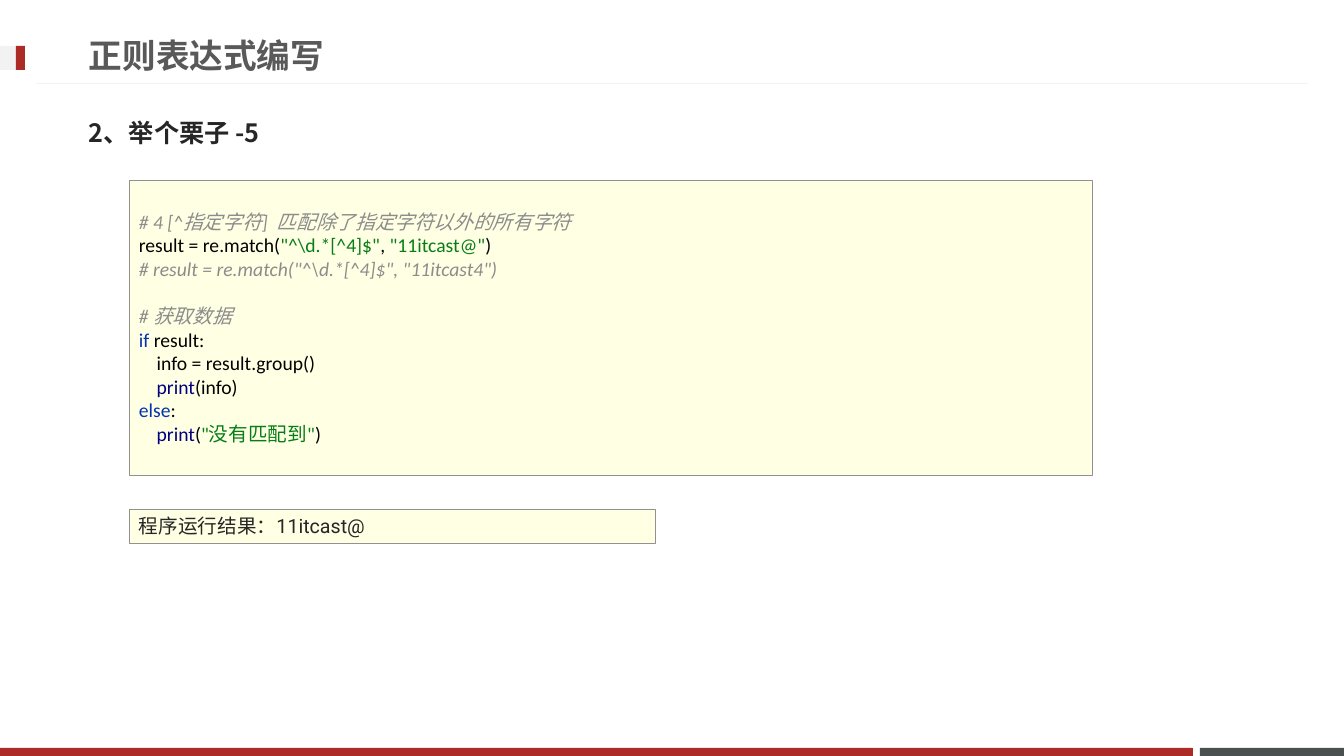
import pptx
import pptx.util
import pptx.dml.color
import pptx.enum.shapes
import pptx.enum.text
import pptx.oxml.ns
import lxml.etree

RGBColor = pptx.dml.color.RGBColor
RED = RGBColor(0xAD, 0x2B, 0x26)
SLATE = RGBColor(0x49, 0x50, 0x4F)
PALE = RGBColor(0xF2, 0xF2, 0xF2)
CREAM = RGBColor(0xFF, 0xFF, 0xE4)
BORDER = RGBColor(0x91, 0x91, 0x91)
TITLE_GRAY = RGBColor(0x59, 0x59, 0x59)
INK = RGBColor(0x26, 0x26, 0x26)
PLAIN = RGBColor(0x00, 0x00, 0x00)
COMMENT = RGBColor(0x8C, 0x8C, 0x8C)
STRING = RGBColor(0x06, 0x7D, 0x17)
KEYWORD = RGBColor(0x00, 0x33, 0xB3)
BUILTIN = RGBColor(0x00, 0x00, 0x80)

CJK_FONT = "Noto Sans CJK SC"
CODE_LINE_PT = 17

HEADING = "正则表达式编写"
SUBHEADING = "2、举个栗子 -5"
RESULT = "程序运行结果：11itcast@"
CODE_BLOCKS = [
    [
        [("# 4 [^指定字符]  匹配除了指定字符以外的所有字符", COMMENT)],
        [("result = re.match(", PLAIN), (r'"^\d.*[^4]$"', STRING), (", ", PLAIN),
         ('"11itcast@"', STRING), (")", PLAIN)],
        [(r'# result = re.match("^\d.*[^4]$", "11itcast4")', COMMENT)],
    ],
    [
        [("# 获取数据", COMMENT)],
        [("if ", KEYWORD), ("result:", PLAIN)],
        [("    info = result.group()", PLAIN)],
        [("    ", PLAIN), ("print", BUILTIN), ("(info)", PLAIN)],
        [("else", KEYWORD), (":", PLAIN)],
        [("    ", PLAIN), ("print", BUILTIN), ("(", PLAIN),
         ('"没有匹配到"', STRING), (")", PLAIN)],
    ],
]
BARS = [
    ((1200, 748, 144, 8), SLATE),
    ((0, 748, 1193, 8), RED),
    ((0, 46, 25, 24), PALE),
    ((16, 46, 9, 24), RED),
]


def px(length):
    return pptx.util.Emu(round(length * 914400 / 100.8))


def add_panel(slide, box, fill, border=None):
    panel = slide.shapes.add_shape(
        pptx.enum.shapes.MSO_SHAPE.RECTANGLE, *map(px, box))
    panel.shadow.inherit = False
    panel.fill.solid()
    panel.fill.fore_color.rgb = fill
    if border is None:
        panel.line.fill.background()
    else:
        panel.line.color.rgb = border
        panel.line.width = pptx.util.Pt(0.25)
    return panel


def write_run(paragraph, text, *, size, font, color, bold=False, italic=False):
    paragraph.alignment = pptx.enum.text.PP_ALIGN.LEFT
    run = paragraph.add_run()
    run.text = text
    run.font.size = pptx.util.Pt(size)
    run.font.name = font
    run.font.bold = bold
    run.font.italic = italic
    run.font.color.rgb = color
    east_asian = lxml.etree.SubElement(
        run.font._element, pptx.oxml.ns.qn("a:ea"))
    east_asian.set("typeface", CJK_FONT)


def open_frame(holder):
    frame = holder.text_frame
    frame.word_wrap = True
    frame.vertical_anchor = pptx.enum.text.MSO_ANCHOR.MIDDLE
    return frame


def add_header(slide):
    for box, fill in BARS:
        add_panel(slide, box, fill)
    rule = slide.shapes.add_connector(
        pptx.enum.shapes.MSO_CONNECTOR.STRAIGHT, px(1308), px(84), px(36), px(84))
    rule.line.color.rgb = PALE
    rule.line.width = pptx.util.Pt(0.75)
    lxml.etree.SubElement(
        rule._element.spPr, pptx.oxml.ns.qn("a:effectLst"))

    heading = slide.shapes.add_textbox(*map(px, (79, 27, 967, 57)))
    write_run(open_frame(heading).paragraphs[0], HEADING,
              size=24, font="Arial", color=TITLE_GRAY, bold=True)
    subheading = slide.shapes.add_textbox(*map(px, (79, 104, 1185, 57)))
    write_run(open_frame(subheading).paragraphs[0], SUBHEADING,
              size=18, font=CJK_FONT, color=INK, bold=True)


def add_code(slide):
    frame = open_frame(add_panel(slide, (129, 180, 963, 295), CREAM, BORDER))
    paragraph = None
    for block in CODE_BLOCKS:
        for number, line in enumerate(block):
            if paragraph is None:
                paragraph = frame.paragraphs[0]
            else:
                paragraph = frame.add_paragraph()
                if number == 0:
                    paragraph.space_before = pptx.util.Pt(CODE_LINE_PT)
            for text, color in line:
                write_run(paragraph, text, size=14, font="Calibri",
                          color=color, italic=color == COMMENT)


def add_result(slide):
    result = add_panel(slide, (129, 509, 526, 34), CREAM, BORDER)
    write_run(open_frame(result).paragraphs[0], RESULT,
              size=14, font="Roboto", color=INK)


def main():
    deck = pptx.Presentation()
    deck.slide_width, deck.slide_height = px(1344), px(756)
    slide = deck.slides.add_slide(deck.slide_layouts[6])
    add_header(slide)
    add_code(slide)
    add_result(slide)
    deck.save("out.pptx")


if __name__ == "__main__":
    main()
